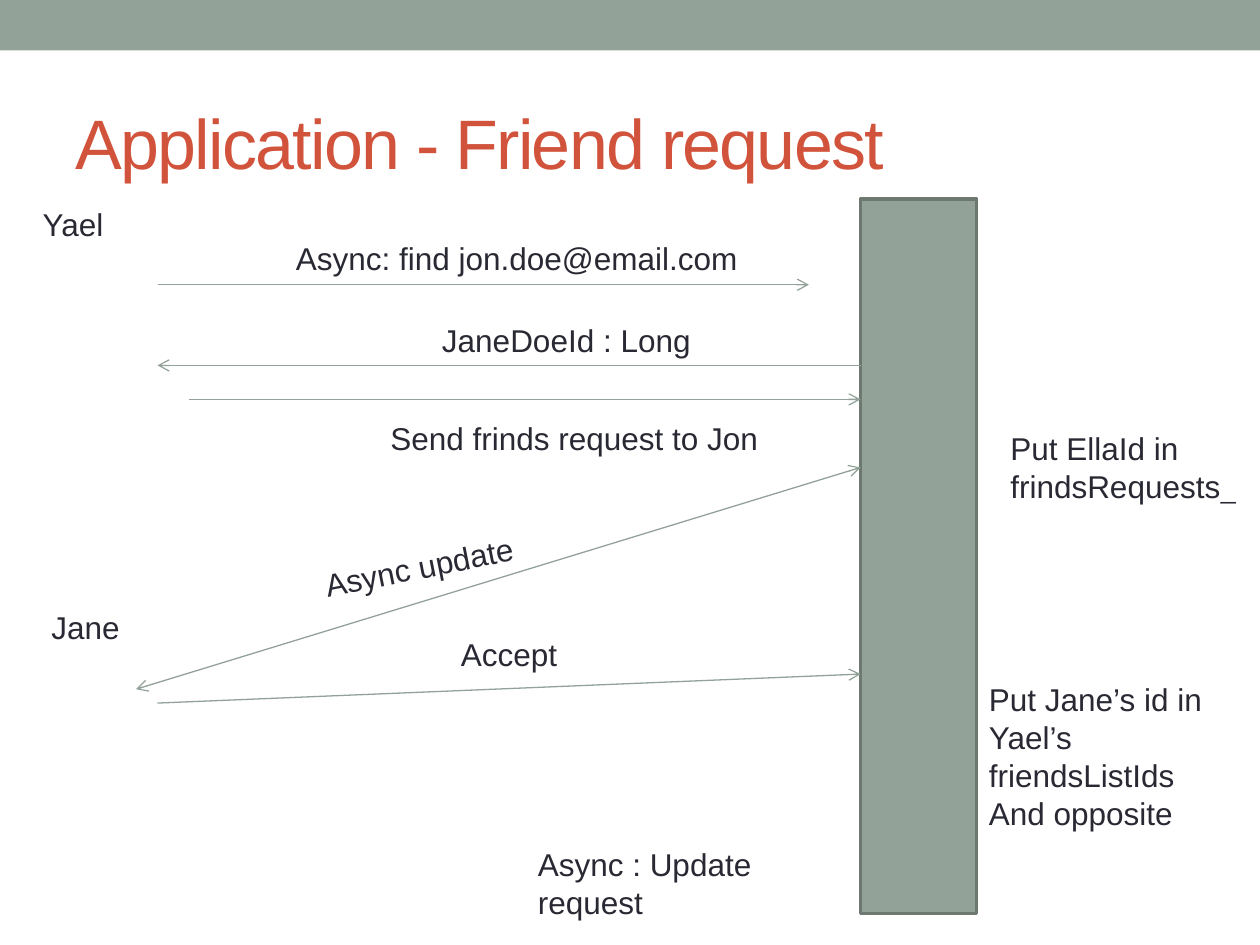
import pptx
import pptx.util
import pptx.dml.color
import pptx.enum.shapes
import pptx.enum.text
import pptx.oxml
import pptx.oxml.ns

Inches, Pt = pptx.util.Inches, pptx.util.Pt
RGBColor = pptx.dml.color.RGBColor
PP_ALIGN = pptx.enum.text.PP_ALIGN
MSO_ANCHOR = pptx.enum.text.MSO_ANCHOR
MSO_AUTO_SIZE = pptx.enum.text.MSO_AUTO_SIZE
qn = pptx.oxml.ns.qn

SAGE = RGBColor(0x93, 0xA2, 0x99)
SAGE_DARK = RGBColor(0x6D, 0x78, 0x71)
INK = RGBColor(0x29, 0x29, 0x34)
RUST = RGBColor(0xD2, 0x53, 0x3C)
FONT = "Arial"

WIDTH, HEIGHT = 10, 7.5
SERVER = (6.83, 1.58, 0.92, 5.67)
SERVER_X = SERVER[0]
CLIENT_X = 1.25
LINE_H, PAD = 0.3, 0.1

TITLE = "Application - Friend request"

# left, top, width, number of lines, paragraphs, further format
LABELS = [
    (2.25, 1.85, 3.98, 1, ["Async: find jon.doe@email.com"], {}),
    (3.25, 2.5, 2.33, 1, ["JaneDoeId : Long"], {"align": PP_ALIGN.RIGHT}),
    (3, 3.28, 3.42, 1, ["Send frinds request to Jon"], {}),
    (7.92, 3.36, 2.08, 2, ["Put EllaId in", "_frindsRequests"], {}),
    (2.47, 4.29, 1.79, 1, ["Async update"], {"rotation": 348.8}),
    (3.56, 4.99, 2.31, 1, ["Accept"], {}),
    (7.75, 5.35, 2.25, 4,
     ["Put Jane’s id in Yael’s friendsListIds", "And opposite"], {}),
    (4.17, 6.66, 2.42, 2, ["Async : Update request"], {}),
    (0.24, 1.58, 1.01, 1, ["Yael"], {}),
    (0.31, 4.78, 1.01, 1, ["Jane"], {}),
]

# start, end, line ends that carry an arrowhead
MESSAGES = [
    ((CLIENT_X, 2.26), (6.42, 2.26), ["tailEnd"]),
    ((SERVER_X, 2.9), (CLIENT_X, 2.9), ["tailEnd"]),
    ((1.5, 3.17), (SERVER_X, 3.17), ["tailEnd"]),
    ((CLIENT_X, 5.58), (SERVER_X, 5.35), ["tailEnd"]),
    ((1.08, 5.47), (SERVER_X, 3.71), ["headEnd", "tailEnd"]),
]


def write(tf, paragraphs, size=18, color=INK, align=PP_ALIGN.LEFT,
          rtl=False, spacing=None):
    for i, text in enumerate(paragraphs):
        p = tf.paragraphs[0] if i == 0 else tf.add_paragraph()
        p.alignment = align
        if rtl:
            p._p.get_or_add_pPr().set("rtl", "1")
        r = p.add_run()
        r.text = text
        r.font.name, r.font.size = FONT, Pt(size)
        r.font.color.rgb = color
        if spacing is not None:
            r._r.get_or_add_rPr().set("spc", str(spacing * 100))


def add_label(slide, left, top, width, lines, paragraphs, rotation=0, **fmt):
    height = LINE_H * lines + PAD
    sp = slide.shapes.add_textbox(*map(Inches, (left, top, width, height)))
    sp.rotation = rotation
    tf = sp.text_frame
    tf.word_wrap = True
    tf.auto_size = MSO_AUTO_SIZE.SHAPE_TO_FIT_TEXT
    write(tf, paragraphs, rtl=True, **fmt)


def add_box(slide, box, line=None):
    sp = slide.shapes.add_shape(pptx.enum.shapes.MSO_SHAPE.RECTANGLE,
                                *map(Inches, box))
    sp.shadow.inherit = False
    sp.fill.solid()
    sp.fill.fore_color.rgb = SAGE
    if line is None:
        sp.line.fill.background()
    else:
        sp.line.color.rgb = line
        sp.line.width = Pt(2.08)


def add_message(slide, start, end, heads):
    c = slide.shapes.add_connector(pptx.enum.shapes.MSO_CONNECTOR.STRAIGHT,
                                   *map(Inches, start + end))
    c.line.color.rgb = SAGE
    c.line.width = Pt(0.75)
    ln = c.line._get_or_add_ln()
    for head in heads:
        ln.append(ln.makeelement(qn("a:" + head), {"type": "arrow"}))
    spPr = c._element.spPr
    spPr.append(spPr.makeelement(qn("a:effectLst"), {}))


def main():
    prs = pptx.Presentation()
    prs.slide_width, prs.slide_height = Inches(WIDTH), Inches(HEIGHT)
    slide = prs.slides.add_slide(prs.slide_layouts[5])

    add_box(slide, (0, 0, WIDTH, 0.4))

    title = slide.shapes.title
    title.left, title.top, title.width, title.height = map(
        Inches, (0.5, 0.58, 9, 1.08))
    title.text_frame.vertical_anchor = MSO_ANCHOR.MIDDLE
    write(title.text_frame, [TITLE], size=40, color=RUST, spacing=-1)

    add_box(slide, SERVER, line=SAGE_DARK)
    for message in MESSAGES:
        add_message(slide, *message)
    for *place, fmt in LABELS:
        add_label(slide, *place, **fmt)

    prs.save("out.pptx")


if __name__ == "__main__":
    main()
